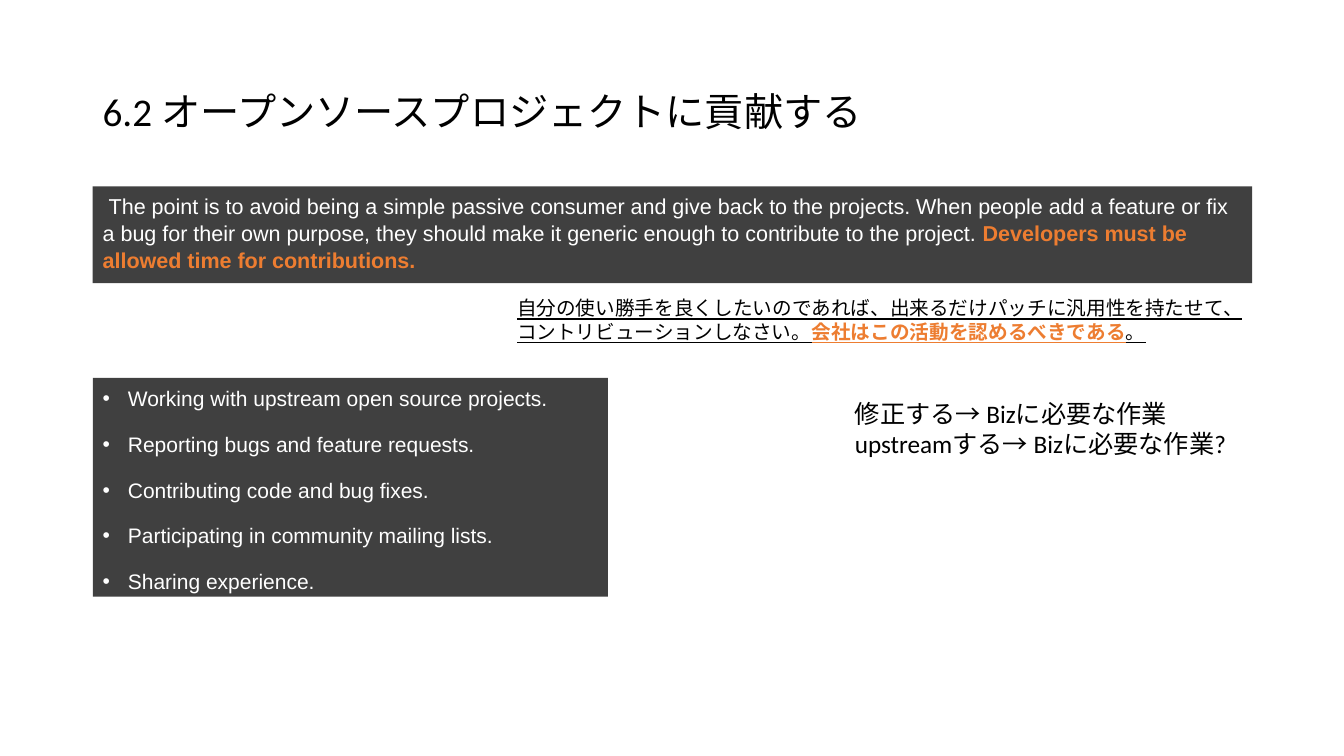
from dataclasses import dataclass

from lxml.etree import SubElement as Sub
from pptx import Presentation as Deck
from pptx.dml.color import RGBColor as Rgb
from pptx.enum.lang import MSO_LANGUAGE_ID as Lang
from pptx.enum.shapes import MSO_SHAPE as Kind
from pptx.enum.text import MSO_ANCHOR as Anchor, MSO_AUTO_SIZE as Fit, PP_ALIGN as Align
from pptx.oxml.ns import qn
from pptx.slide import Slide
from pptx.util import Inches, Pt


@dataclass(frozen=True)
class Theme:
    dark: Rgb = Rgb(0x40, 0x40, 0x40)
    black: Rgb = Rgb(0, 0, 0)
    white: Rgb = Rgb(255, 255, 255)
    accent: Rgb = Rgb(0xED, 0x7D, 0x31)
    latin: str = "Arial"
    mixed: str = "Calibri"
    title: float = 28
    point: float = 15.4
    item: float = 15
    advice: float = 14
    note: float = 18


@dataclass(frozen=True)
class Run:
    text: str
    key: bool = False
    under: bool = False


@dataclass(frozen=True)
class Block:
    left: float
    top: float
    width: float
    height: float
    size: float
    paras: list[list[Run]]
    panel: bool = False
    grow: bool = False
    anchor: Anchor = Anchor.TOP
    line: float = 1.0
    gap: float = 0
    first: float = 0
    bullet: bool = False


THEME = Theme()
LEFT, WIDE, HANG = 0.92, 11.5, 0.25

BLOCKS = [
    Block(LEFT, 0.4, WIDE, 1.45, THEME.title,
          [[Run("6.2 オープンソースプロジェクトに貢献する")]],
          anchor=Anchor.MIDDLE, line=0.9),
    Block(LEFT, 1.85, WIDE, 0.96, THEME.point,
          [[Run("The point is to avoid being a simple passive consumer and give "
                "back to the projects. When people add a feature or fix a bug for "
                "their own purpose, they should make it generic enough to "
                "contribute to the project. "),
            Run("Developers must be allowed time for contributions.", key=True)]],
          panel=True, line=1.05, first=0.06),
    Block(5.03, 2.89, 7.39, 0.57, THEME.advice,
          [[Run("自分の使い勝手を良くしたいのであれば、出来るだけパッチに汎用性を"
                "持たせて、コントリビューションしなさい。", under=True),
            Run("会社はこの活動を認めるべきである", key=True, under=True),
            Run("。", under=True)]],
          grow=True),
    Block(LEFT, 3.75, 5.11, 2.17, THEME.item,
          [[Run(item)] for item in (
              "Working with upstream open source projects.",
              "Reporting bugs and feature requests.",
              "Contributing code and bug fixes.",
              "Participating in community mailing lists.",
              "Sharing experience.")],
          panel=True, anchor=Anchor.MIDDLE, line=1.2, gap=11, bullet=True),
    Block(8.38, 3.9, 4.03, 0.71, THEME.note,
          [[Run("修正する→ Bizに必要な作業")],
           [Run("upstreamする→ Bizに必要な作業?")]],
          grow=True),
]


def indent(para, block: Block) -> None:
    """Set the first-line indent, or a hanging bullet."""
    props = para._p.get_or_add_pPr()
    if block.bullet:
        props.set("marL", str(Inches(HANG)))
        props.set("indent", str(-Inches(HANG)))
        Sub(props, qn("a:buFont"), typeface=THEME.latin)
        Sub(props, qn("a:buChar"), char="•")
    elif block.first:
        props.set("indent", str(Inches(block.first)))


def add_run(para, run: Run, block: Block) -> None:
    part = para.add_run()
    part.text = run.text
    font = part.font
    font.size = Pt(block.size)
    font.name = THEME.latin if block.panel else THEME.mixed
    font.language_id = Lang.ENGLISH_US if block.panel else Lang.JAPANESE
    font.bold = run.key
    font.underline = run.under
    base = THEME.white if block.panel else THEME.black
    font.color.rgb = THEME.accent if run.key else base


def draw(slide: Slide, block: Block) -> None:
    area = [Inches(n) for n in (block.left, block.top, block.width, block.height)]
    if block.panel:
        shape = slide.shapes.add_shape(Kind.RECTANGLE, *area)
        shape.shadow.inherit = False
        shape.fill.solid()
        shape.fill.fore_color.rgb = THEME.dark
        shape.line.fill.background()
    else:
        shape = slide.shapes.add_textbox(*area)
    frame = shape.text_frame
    frame.word_wrap = True
    frame.auto_size = Fit.SHAPE_TO_FIT_TEXT if block.grow else Fit.NONE
    frame.vertical_anchor = block.anchor
    for i, runs in enumerate(block.paras):
        para = frame.add_paragraph() if i else frame.paragraphs[0]
        indent(para, block)
        para.alignment = Align.LEFT
        para.line_spacing = block.line
        if i and block.gap:
            para.space_before = Pt(block.gap)
        for run in runs:
            add_run(para, run, block)


def main() -> None:
    deck = Deck()
    deck.slide_width, deck.slide_height = Inches(13.33), Inches(7.5)
    slide = deck.slides.add_slide(deck.slide_layouts[6])
    for block in BLOCKS:
        draw(slide, block)
    deck.save("out.pptx")


if __name__ == "__main__":
    main()
